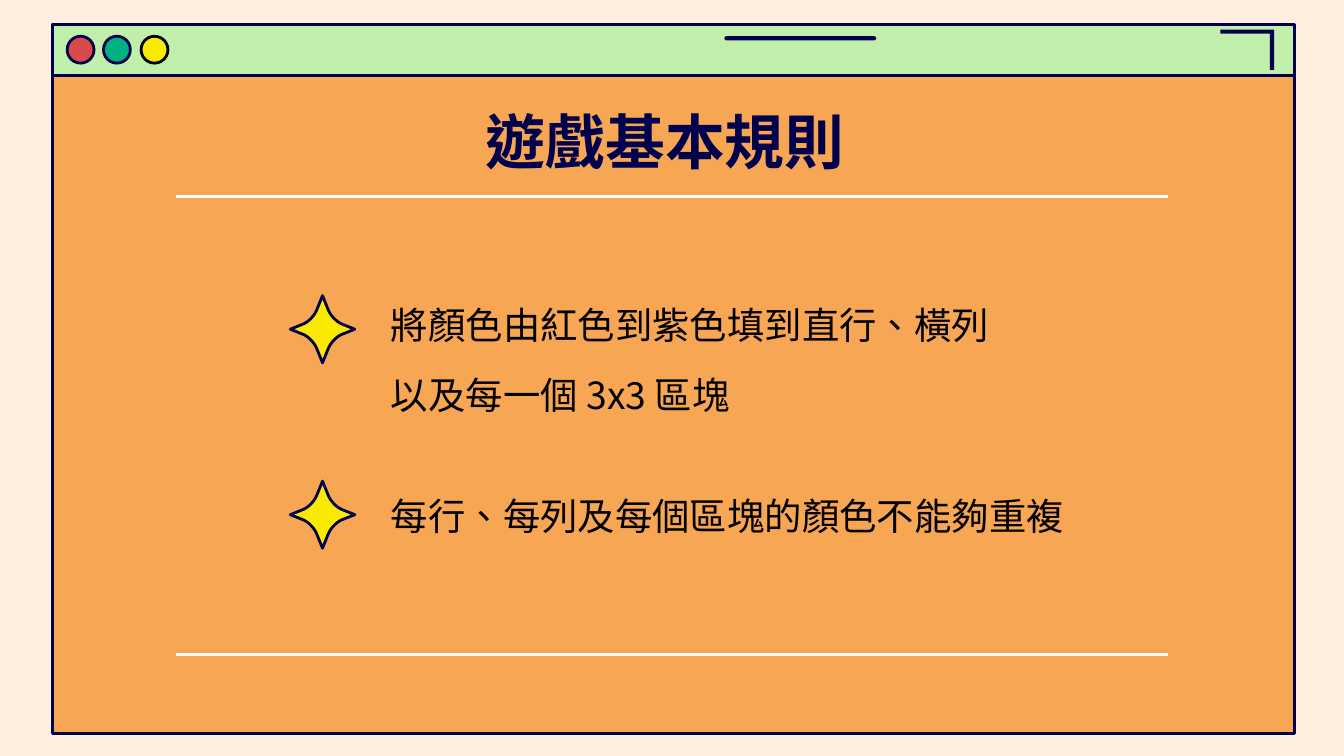
from pptx import Presentation
from pptx.dml.color import RGBColor
from pptx.enum.lang import MSO_LANGUAGE_ID
from pptx.enum.shapes import MSO_CONNECTOR, MSO_SHAPE
from pptx.enum.text import MSO_ANCHOR, PP_ALIGN
from pptx.oxml.ns import qn
from pptx.util import Inches, Pt
from lxml import etree

RECT, OVAL, ROUNDED = MSO_SHAPE.RECTANGLE, MSO_SHAPE.OVAL, MSO_SHAPE.ROUNDED_RECTANGLE
STRAIGHT = MSO_CONNECTOR.STRAIGHT
TOP = MSO_ANCHOR.TOP
LEFT, CENTER = PP_ALIGN.LEFT, PP_ALIGN.CENTER
CHINESE = MSO_LANGUAGE_ID.TRADITIONAL_CHINESE


class Theme:
    font = "Noto Sans CJK SC"
    title_size, rule_size, outline = 32, 20, 1.5
    cream, orange, mint = "FFEFE1", "F7A653", "C0EEAB"
    navy, black, white = "00004D", "000000", "FFFFFF"
    red, green, yellow = "D94A4A", "00B181", "FAEA00"


def rgb(value):
    return RGBColor.from_string(value)


def paint(shape, fill, line=None):
    shape.shadow.inherit = False
    shape.fill.solid()
    shape.fill.fore_color.rgb = rgb(fill)
    if line:
        shape.line.color.rgb = rgb(line)
        shape.line.width = Pt(Theme.outline)
    else:
        shape.line.fill.background()


def add_preset(slide, kind, box, fill, line=None):
    shape = slide.shapes.add_shape(kind, *map(Inches, box))
    paint(shape, fill, line)
    return shape


def add_outline(slide, points, fill, line=None):
    corners = [(Inches(x), Inches(y)) for x, y in points]
    builder = slide.shapes.build_freeform(*corners[0])
    builder.add_line_segments(corners[1:], close=True)
    paint(builder.convert_to_shape(), fill, line)


def add_text(slide, text, box, size, color, inset, align=LEFT, bold=False):
    frame = slide.shapes.add_textbox(*map(Inches, box)).text_frame
    frame.word_wrap = True
    frame.vertical_anchor = TOP
    frame.margin_top = frame.margin_bottom = Inches(inset)
    paragraph = frame.paragraphs[0]
    paragraph.text = text
    paragraph.alignment = align
    font = paragraph.font
    font.name, font.size, font.bold = Theme.font, Pt(size), bold
    font.color.rgb = rgb(color)
    # The language decides how the punctuation is placed
    paragraph.runs[0].font.language_id = CHINESE


def add_divider(slide, y):
    divider = slide.shapes.add_connector(
        STRAIGHT, Inches(8.69), Inches(y), Inches(1.31), Inches(y))
    divider.line.color.rgb = rgb(Theme.white)
    divider.line.width = Pt(Theme.outline)
    etree.SubElement(divider._element.spPr, qn("a:effectLst"))


def bezier(p0, p1, p2, p3, steps=8):
    for t in (i / steps for i in range(steps + 1)):
        u = 1 - t
        yield tuple(u**3 * a + 3 * u * u * t * b + 3 * u * t * t * c + t**3 * d
                    for a, b, c, d in zip(p0, p1, p2, p3))


def add_sparkle(slide, cx, cy):
    # One quarter from the top tip to the right tip, then mirrored
    quarter = [(0, -0.25),
               *bezier((0.04, -0.15), (0.06, -0.1), (0.1, -0.06), (0.14, -0.04)),
               (0.24, 0)]
    lower_right = [(x, -y) for x, y in reversed(quarter[:-1])]
    right = quarter + lower_right
    left = [(-x, y) for x, y in reversed(right[1:-1])]
    add_outline(slide, [(cx + x, cy + y) for x, y in right + left],
                Theme.yellow, Theme.navy)


def add_window(slide):
    add_preset(slide, RECT, (0.39, 0.18, 9.24, 5.28), Theme.orange, Theme.navy)
    add_preset(slide, RECT, (0.39, 0.18, 9.24, 0.38), Theme.mint, Theme.navy)
    # Title bar marks
    add_outline(slide, [(9.08, 0.22), (9.48, 0.22), (9.48, 0.52),
                        (9.45, 0.52), (9.45, 0.25), (9.08, 0.25)], Theme.navy)
    dash = add_preset(slide, ROUNDED, (5.39, 0.27, 1.13, 0.03), Theme.navy)
    dash.adjustments[0] = 0.5
    # Window buttons
    buttons = [(0.5, Theme.red, Theme.navy), (0.77, Theme.green, Theme.navy),
               (1.05, Theme.yellow, Theme.black)]
    for left, fill, line in buttons:
        add_preset(slide, OVAL, (left, 0.27, 0.2, 0.2), fill, line)


def main():
    prs = Presentation()
    prs.slide_width = Inches(10)
    prs.slide_height = prs.slide_width * 9 // 16
    slide = prs.slides.add_slide(prs.slide_layouts[6])
    slide.background.fill.solid()
    slide.background.fill.fore_color.rgb = rgb(Theme.cream)

    add_window(slide)
    add_text(slide, "遊戲基本規則", (0.73, 0.68, 8.44, 0.63),
             Theme.title_size, Theme.navy, 0.1, CENTER, True)
    for y in (1.46, 4.87):
        add_divider(slide, y)

    # Rules and their markers
    rules = [("將顏色由紅色到紫色填到直行、橫列", 2.2, 7.08, 0.44),
             ("以及每一個 3x3 區塊", 2.72, 7.08, 0.44),
             ("每行、每列及每個區塊的顏色不能夠重複", 3.62, 6.79, 0.67)]
    for text, top, width, height in rules:
        add_text(slide, text, (2.81, top, width, height),
                 Theme.rule_size, Theme.black, 0.05)
    for cy in (2.45, 3.83):
        add_sparkle(slide, 2.4, cy)

    prs.save("out.pptx")


main()
